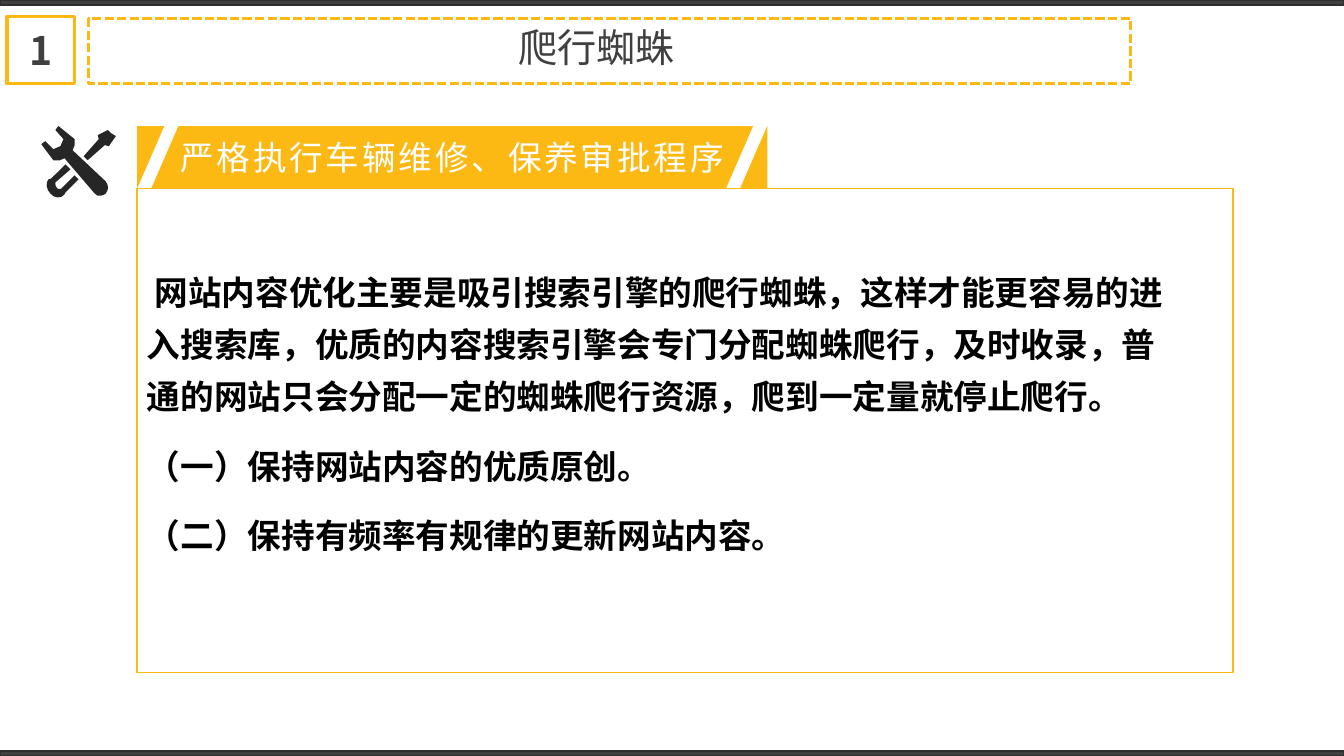
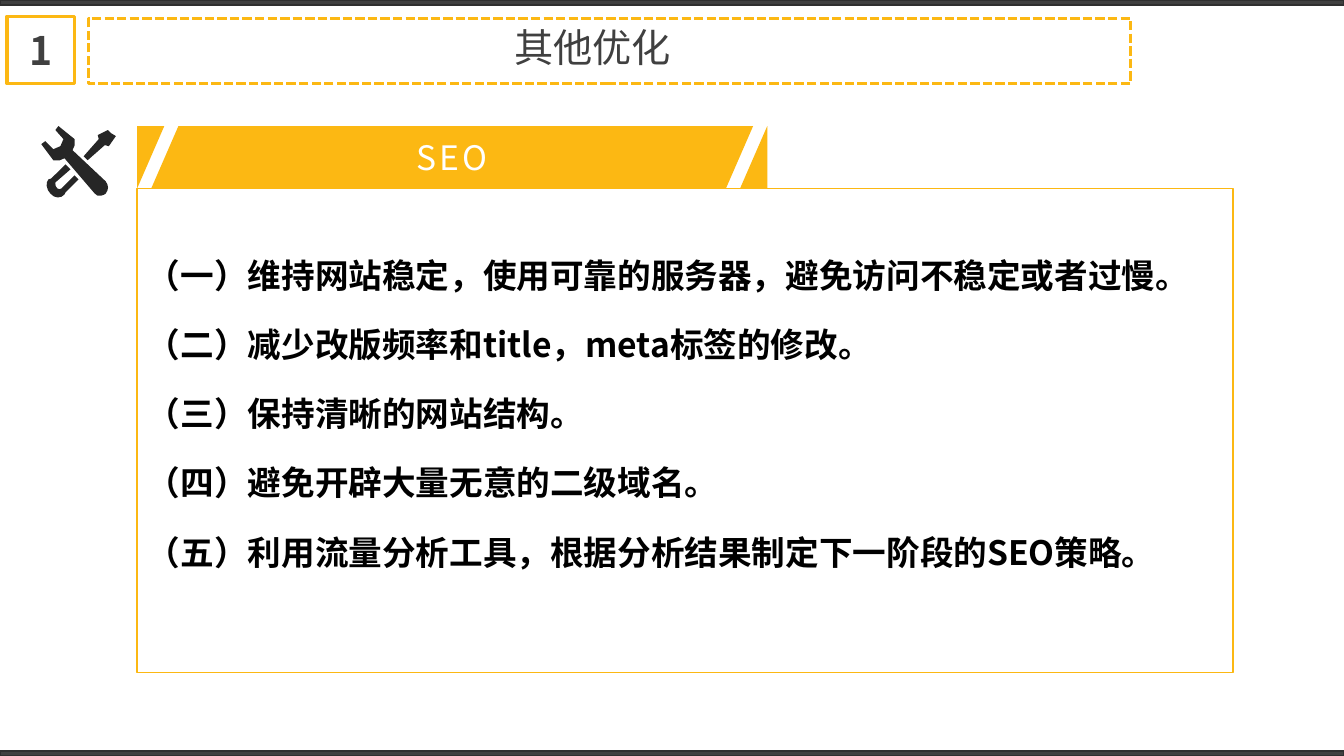
from dataclasses import dataclass

from lxml.etree import SubElement
from pptx import Presentation
from pptx.dml.color import RGBColor
from pptx.enum.dml import MSO_LINE
from pptx.enum.shapes import MSO_SHAPE
from pptx.enum.text import MSO_ANCHOR, PP_ALIGN
from pptx.oxml.ns import qn
from pptx.util import Inches, Pt


@dataclass(frozen=True)
class Theme:
    accent: str = "FCB813"
    dark: str = "404040"
    edge: str = "2F2F2F"
    icon: str = "262626"
    body: str = "000000"
    light: str = "FFFFFF"
    font: str = "Noto Sans CJK SC"
    title_size: int = 28
    body_size: int = 24
    frame_width: float = 2.25
    thin_width: float = 1
    letter_spacing: int = 200  # hundredths of a point


THEME = Theme()
SLIDE_WIDTH, SLIDE_HEIGHT = 13.33, 7.5

# Tool icon outlines, in hundredths of an inch from the icon's corner
ICON_OUTLINES = [
    # Wrench handle
    [(33, 49), (20, 62), (18, 62.7), (16, 62), (14.2, 59.5), (14, 56),
     (29, 43), (24, 38), (10, 52), (7, 53), (5.5, 56), (5.4, 59.6),
     (6.6, 63.6), (9, 67), (12.5, 69.9), (16.4, 70.9), (20, 70.2),
     (23, 68), (24, 66), (37, 53)],
    # Wrench jaw and wide grip
    [(31, 24), (64, 55), (65.6, 58), (66.2, 61), (65.6, 64), (64, 67),
     (62, 68.3), (59, 69.2), (55.6, 69), (53, 67), (23, 32), (18.2, 34.1),
     (12, 34), (0, 18), (4, 15), (12, 23), (19, 20), (22, 13), (14, 4),
     (17, 0), (33, 13), (33.1, 19.2)],
    # Screwdriver blade
    [(66, 4), (56, 9), (57, 13), (42, 30), (46, 34), (63, 19), (67, 20),
     (74, 10), (69, 7)],
]


def set_attributes(target, values):
    for name, value in values.items():
        setattr(target, name, value)


def paint(shape, fill=None, line=None, width=1, dash=None):
    shape.shadow.inherit = False
    if fill:
        shape.fill.solid()
        shape.fill.fore_color.rgb = RGBColor.from_string(fill)
    else:
        shape.fill.background()
    if line:
        shape.line.color.rgb = RGBColor.from_string(line)
        set_attributes(shape.line, {"width": Pt(width), "dash_style": dash})
    else:
        shape.line.fill.background()


def add_box(slide, box, **style):
    shape = slide.shapes.add_shape(MSO_SHAPE.RECTANGLE, *map(Inches, box))
    paint(shape, **style)
    return shape


def add_text_box(slide, box):
    return slide.shapes.add_textbox(*map(Inches, box))


def add_outlines(slide, left, top, outlines, fill):
    """Draw closed polygons, given in inches from (left, top), as one shape."""
    placed = [[(Inches(left + x), Inches(top + y)) for x, y in outline]
              for outline in outlines]
    builder = slide.shapes.build_freeform(*placed[0][0])
    for index, outline in enumerate(placed):
        if index:
            builder.move_to(*outline[0])
        builder.add_line_segments(outline[1:], close=True)
    shape = builder.convert_to_shape()
    paint(shape, fill=fill)
    return shape


def write(shape, lines, size, color, bold=False, anchor=MSO_ANCHOR.MIDDLE,
          letter_spacing=None, **paragraph_format):
    frame = shape.text_frame
    set_attributes(frame, {"word_wrap": True, "vertical_anchor": anchor})
    for index, line in enumerate(lines):
        paragraph = frame.add_paragraph() if index else frame.paragraphs[0]
        set_attributes(paragraph, paragraph_format)
        run = paragraph.add_run()
        run.text = line
        set_attributes(run.font, {"size": Pt(size), "bold": bold, "name": THEME.font})
        run.font.color.rgb = RGBColor.from_string(color)
        properties = run.font._element
        SubElement(properties, qn("a:ea")).set("typeface", THEME.font)
        if letter_spacing:
            properties.set("spc", str(letter_spacing))


def add_header(slide, left, top, number, title):
    # Dashed title frame
    add_box(slide, (left + 0.81, top + 0.02, 10.33, 0.65), line=THEME.accent,
            width=THEME.frame_width, dash=MSO_LINE.SQUARE_DOT)
    title_box = add_text_box(slide, (left + 0.81, top + 0.02, 9.99, 0.57))
    write(title_box, [title], THEME.title_size, THEME.dark,
          anchor=MSO_ANCHOR.TOP, alignment=PP_ALIGN.CENTER)
    # Section number
    badge = add_box(slide, (left, top, 0.67, 0.67), line=THEME.accent,
                    width=THEME.frame_width)
    write(badge, [number], THEME.title_size, THEME.dark, bold=True,
          alignment=PP_ALIGN.CENTER)


def add_edge_bars(slide, height=0.05):
    for top in (0, SLIDE_HEIGHT - height):
        add_box(slide, (0, top, SLIDE_WIDTH, height), fill=THEME.dark,
                line=THEME.edge, width=THEME.thin_width)


def add_ribbon(slide, left, top, width, height, label):
    slant, stripe = 0.27, 0.14
    outlines = [
        [(0, 0), (slant, 0), (0, height)],
        [(slant + stripe, 0), (width - stripe, 0),
         (width - stripe - slant, height), (stripe, height)],
        [(width, 0), (width, height), (width - slant, height)],
    ]
    ribbon = add_outlines(slide, left, top, outlines, THEME.accent)
    write(ribbon, [label], THEME.body_size, THEME.light,
          letter_spacing=THEME.letter_spacing, alignment=PP_ALIGN.CENTER)


def add_panel(slide, left, top, width, height, lines):
    add_box(slide, (left, top, width, height), line=THEME.accent,
            width=THEME.thin_width)
    text_box = add_text_box(slide, (left, top + 0.47, width - 0.4, 3.4))
    write(text_box, lines, THEME.body_size, THEME.body, bold=True,
          line_spacing=1.3, space_before=Pt(6), space_after=Pt(6))


def add_tool_icon(slide, left, top):
    outlines = [[(x / 100, y / 100) for x, y in outline]
                for outline in ICON_OUTLINES]
    add_outlines(slide, left, top, outlines, THEME.icon)


def add_topic_slide(presentation, number, title, label, lines):
    slide = presentation.slides.add_slide(presentation.slide_layouts[6])
    add_header(slide, 0.07, 0.16, number, title)
    add_edge_bars(slide)
    add_ribbon(slide, 1.36, 1.25, 6.25, 0.62, label)
    add_panel(slide, 1.36, 1.87, 10.87, 4.8, lines)
    add_tool_icon(slide, 0.41, 1.25)


TOPICS = [
    ("1", " 爬行蜘蛛", "严格执行车辆维修、保养审批程序", [
        " 网站内容优化主要是吸引搜索引擎的爬行蜘蛛，这样才能更容易的进入搜索库，"
        "优质的内容搜索引擎会专门分配蜘蛛爬行，及时收录，"
        "普通的网站只会分配一定的蜘蛛爬行资源，爬到一定量就停止爬行。",
        "（一）保持网站内容的优质原创。",
        "（二）保持有频率有规律的更新网站内容。",
    ]),
    ("1", "其他优化", "SEO", [
        "（一）维持网站稳定，使用可靠的服务器，避免访问不稳定或者过慢。",
        "（二）减少改版频率和title，meta标签的修改。",
        "（三）保持清晰的网站结构。",
        "（四）避免开辟大量无意的二级域名。",
        "（五）利用流量分析工具，根据分析结果制定下一阶段的SEO策略。",
    ]),
]


def main():
    presentation = Presentation()
    set_attributes(presentation, {"slide_width": Inches(SLIDE_WIDTH),
                                  "slide_height": Inches(SLIDE_HEIGHT)})
    for topic in TOPICS:
        add_topic_slide(presentation, *topic)
    presentation.save("out.pptx")


if __name__ == "__main__":
    main()
